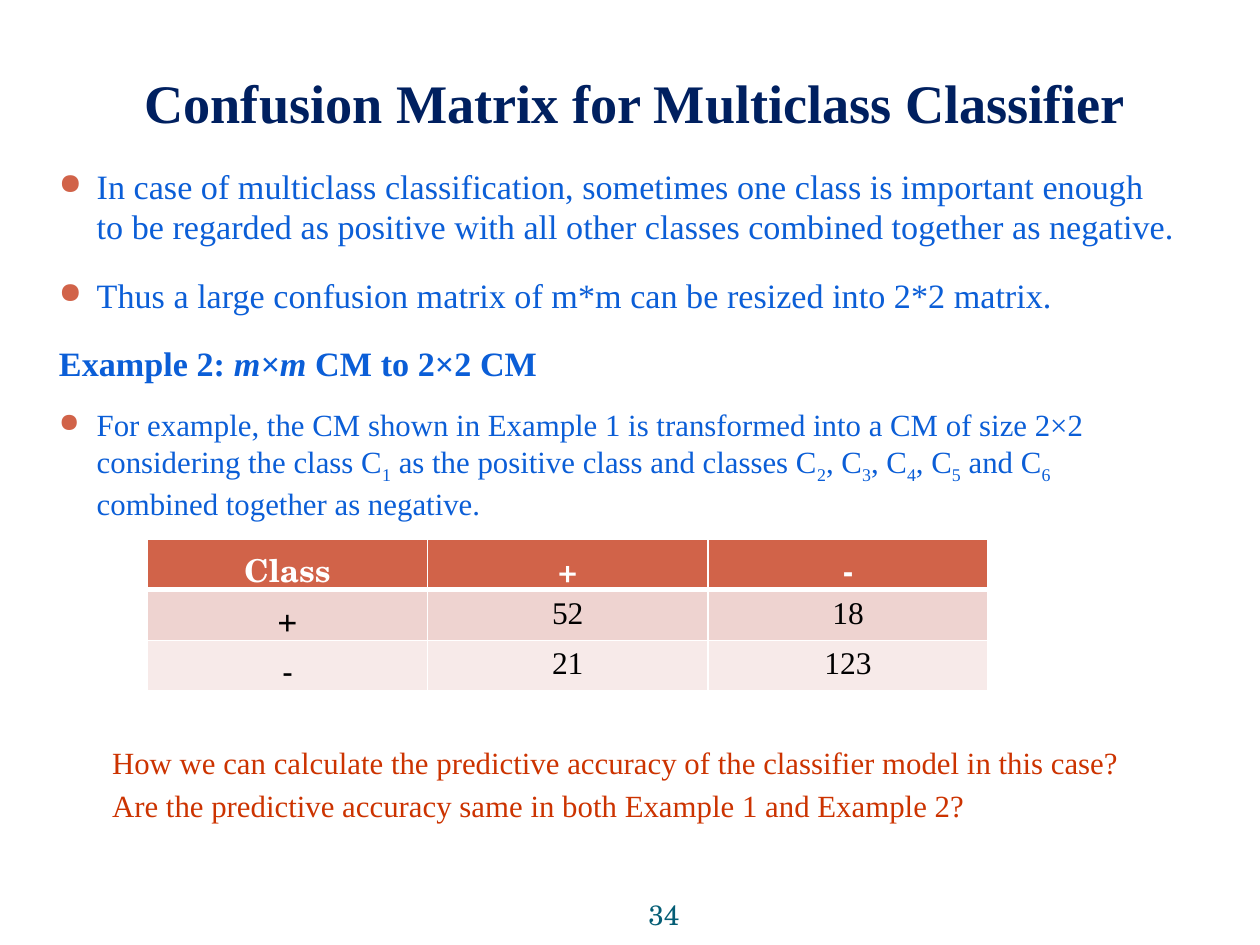
"""Build the slide on reducing a multiclass confusion matrix to two classes."""
from dataclasses import dataclass

from lxml import etree
from pptx import Presentation
from pptx.dml.color import RGBColor
from pptx.enum.text import MSO_ANCHOR, PP_ALIGN
from pptx.oxml.ns import qn
from pptx.util import Cm, Pt

CENTER, LEFT = PP_ALIGN.CENTER, PP_ALIGN.LEFT
TOP, MIDDLE, BOTTOM = MSO_ANCHOR.TOP, MSO_ANCHOR.MIDDLE, MSO_ANCHOR.BOTTOM


@dataclass(frozen=True)
class Theme:
    serif: str = "Times New Roman"
    school: str = "TeX Gyre Schola"
    navy: str = "002060"
    blue: str = "0B5ED7"
    red: str = "CC3300"
    teal: str = "045D75"
    accent: str = "D16349"
    white: str = "FFFFFF"
    black: str = "000000"
    bands: tuple = ("D16349", "EED3D0", "F7EAE9")
    title: float = 31
    lead: float = 19.5
    detail: float = 17.6
    cell: float = 18
    number: float = 16


theme = Theme()


def add_span(para, text, size, color, face=theme.serif, bold=False, italic=False):
    span = para.add_run()
    span.text = text
    span.font.size = Pt(size)
    span.font.name = face
    span.font.bold = bold
    span.font.italic = italic
    span.font.color.rgb = RGBColor.from_string(color)
    return span


def add_box(page, left, top, width, height, anchor):
    box = page.shapes.add_textbox(Cm(left), Cm(top), Cm(width), Cm(height))
    box.text_frame.word_wrap = True
    box.text_frame.vertical_anchor = anchor
    return box.text_frame


deck = Presentation()
deck.slide_width, deck.slide_height = Cm(25.4), Cm(19.05)
page = deck.slides.add_slide(deck.slide_layouts[6])

class_parts = [("For example, the CM shown in Example 1 is transformed into a CM of size 2×2 "
                "considering the class C", ""), ("1", "sub"),
               (" as the positive class and classes C", ""), ("2", "sub")]
for joint, index in ((", C", "3"), (", C", "4"), (", C", "5"), (" and C", "6")):
    class_parts += [(joint, ""), (index, "sub")]
class_parts.append((" combined together as negative.", ""))

paragraphs = [
    ("bullet", 0, theme.lead, theme.blue,
     [("In case of multiclass classification, sometimes one class is important enough to be "
       "regarded as positive with all other classes combined together as negative.", "")]),
    ("bullet", 15.5, theme.lead, theme.blue,
     [("Thus a large confusion matrix of m*m can be resized into 2*2 matrix.", "")]),
    ("heading", 15.5, theme.lead, theme.blue,
     [("Example 2: ", "bold"), ("m×m", "bold italic"), (" CM to 2×2 CM", "bold")]),
    ("bullet", 13, theme.detail, theme.blue, class_parts),
    ("question", 127, theme.detail, theme.red,
     [("How we can calculate the predictive accuracy of the classifier model in this case?", "")]),
    ("question", 3.5, theme.detail, theme.red,
     [("Are the predictive accuracy same in both Example 1 and Example 2?", "")]),
]
indents = {"bullet": (0.76, -0.76), "heading": (0, 0), "question": (1.07, 0)}

body = add_box(page, 0.94, 3.2, 23.06, 13.69, TOP)
for number, (kind, gap, size, color, parts) in enumerate(paragraphs):
    para = body.add_paragraph() if number else body.paragraphs[0]
    para.alignment = LEFT
    props = para._p.get_or_add_pPr()
    margin, indent = indents[kind]
    props.set("marL", str(Cm(margin)))
    props.set("indent", str(Cm(indent)))
    if kind == "bullet":
        bullet_color = etree.SubElement(props, qn("a:buClr"))
        etree.SubElement(bullet_color, qn("a:srgbClr"), val=theme.accent)
        etree.SubElement(props, qn("a:buSzPct"), val="85000")
        etree.SubElement(props, qn("a:buChar"), char="●")
    para.space_before = Pt(gap)
    for text, style in parts:
        span = add_span(para, text, size, color, bold="bold" in style, italic="italic" in style)
        if style == "sub":
            span._r.get_or_add_rPr().set("baseline", "-25000")

footer = add_box(page, 12.75, 17.83, 1.27, 1.22, MIDDLE)
footer.margin_left = footer.margin_right = Cm(0.13)
footer.paragraphs[0].alignment = CENTER
add_span(footer.paragraphs[0], "34", theme.number, theme.teal, theme.school)

matrix = [("Class", "+", "-"), ("+", "52", "18"), ("-", "21", "123")]
table = page.shapes.add_table(3, 3, Cm(2.97), Cm(10.87), Cm(16.95), Cm(3.06)).table
table.horz_banding = False
for column in table.columns:
    column.width = Cm(5.65)
for r, values in enumerate(matrix):
    table.rows[r].height = Cm(1.02)
    for c, value in enumerate(values):
        cell = table.cell(r, c)
        for side in ("lnL", "lnR", "lnT", "lnB"):
            thick = (r, side) in ((0, "lnB"), (1, "lnT"))
            line = etree.SubElement(cell._tc.get_or_add_tcPr(), qn(f"a:{side}"),
                                    w=str(Pt(3 if thick else 1)))
            paint = etree.SubElement(line, qn("a:solidFill"))
            etree.SubElement(paint, qn("a:srgbClr"), val=theme.white)
        cell.fill.solid()
        cell.fill.fore_color.rgb = RGBColor.from_string(theme.bands[r])
        para = cell.text_frame.paragraphs[0]
        para.alignment = CENTER
        add_span(para, value, theme.cell, theme.black if r else theme.white,
                 theme.serif if r and c else theme.school, bold=r == 0)

title = add_box(page, 0.69, 0.99, 24.21, 1.85, BOTTOM)
title.paragraphs[0].alignment = CENTER
add_span(title.paragraphs[0], "Confusion Matrix for Multiclass Classifier",
         theme.title, theme.navy, bold=True)

deck.save("out.pptx")
